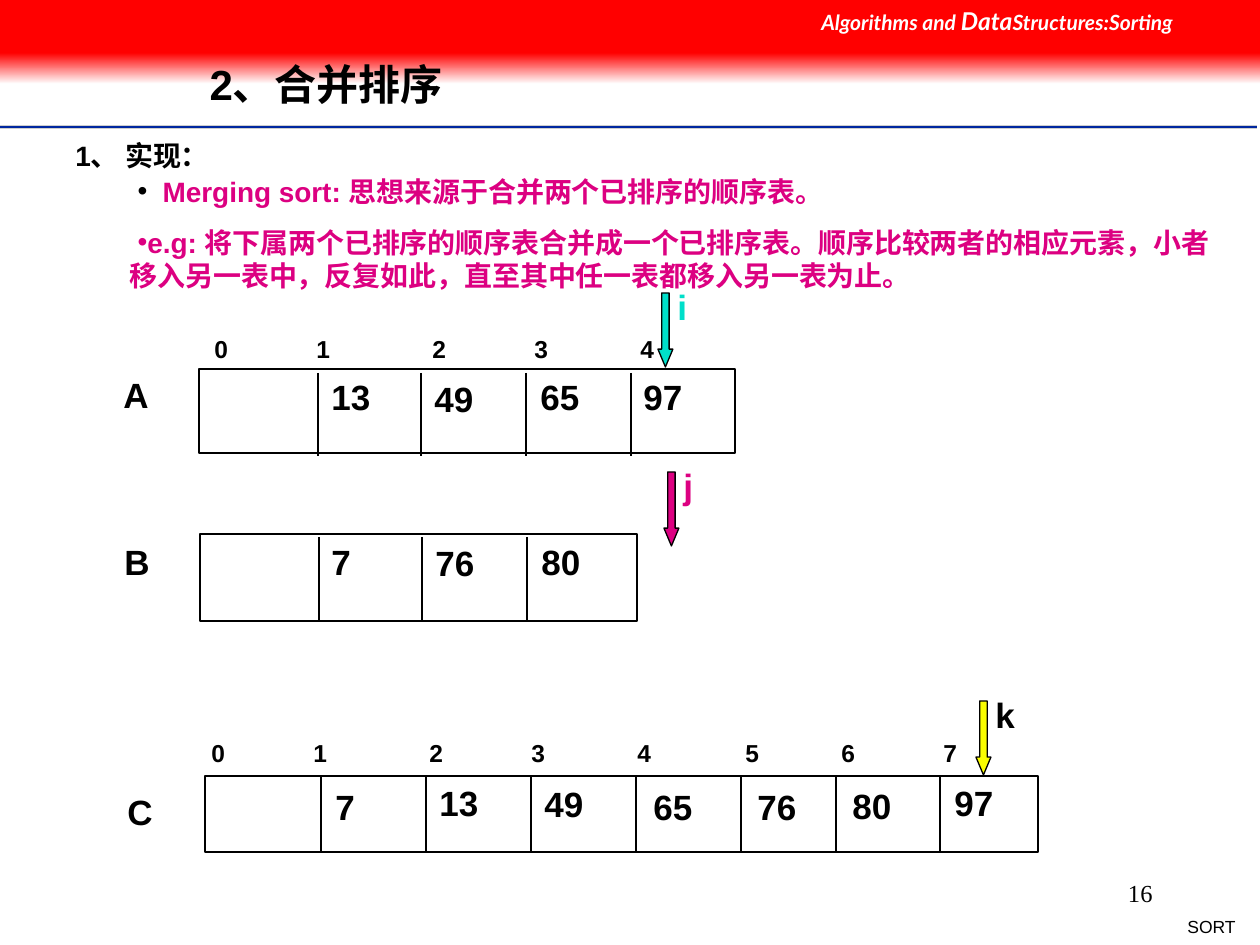
from lxml.etree import SubElement
from pptx import Presentation
from pptx.dml.color import RGBColor
from pptx.enum.shapes import MSO_CONNECTOR, MSO_SHAPE
from pptx.enum.text import MSO_ANCHOR as ANCHOR, MSO_AUTO_SIZE as AUTO, PP_ALIGN as ALIGN
from pptx.oxml.ns import qn
from pptx.util import Emu, Pt

PX_PER_INCH = 126
COLORS = {
    "black": "000000", "white": "FFFFFF", "red": "FF0000", "blue": "00279F",
    "gray": "CECECE", "pink": "DC0081", "teal": "00DFCA", "yellow": "FAFD00",
}
INDEX_STOPS = [102, 218, 320, 426, 534, 630, 732]


def px(n):
    return Emu(round(n * 914400 / PX_PER_INCH))


def rgb(name):
    return RGBColor.from_string(COLORS[name])


def add_run(p, text, size, color="black", bold=True, italic=False, font="Arial"):
    r = p.add_run()
    r.text = text
    f = r.font
    f.name, f.size, f.bold, f.italic = font, Pt(size), bold, italic
    f.color.rgb = rgb(color)


def add_text(shapes, box, align=ALIGN.LEFT, wrap=True):
    """Add an empty text box and return its first paragraph."""
    tf = shapes.add_textbox(*map(px, box)).text_frame
    tf.word_wrap = wrap
    p = tf.paragraphs[0]
    p.alignment = align
    return p


def add_label(shapes, x, y, text, color="black"):
    add_run(add_text(shapes, (x, y, 84, 55)), text, 20, color)


def add_box(shapes, kind, box, fill, line=None):
    sp = shapes.add_shape(kind, *map(px, box))
    sp.shadow.inherit = False
    if fill:
        sp.fill.solid()
        sp.fill.fore_color.rgb = rgb(fill)
    if line:
        sp.line.color.rgb = rgb(line)
        sp.line.width = Pt(0.75)
    else:
        sp.line.fill.background()
    return sp


def add_line(shapes, x1, y1, x2, y2, color="black", width=0.75):
    line = shapes.add_connector(MSO_CONNECTOR.STRAIGHT, *map(px, (x1, y1, x2, y2)))
    line.line.color.rgb = rgb(color)
    line.line.width = Pt(width)
    SubElement(line._element.spPr, qn("a:effectLst"))


def add_header(shapes):
    band = add_box(shapes, MSO_SHAPE.RECTANGLE, (0, 53, 1260, 31), None)
    band.fill.gradient()
    band.fill.gradient_angle = 270
    for stop, color, position in zip(band.fill.gradient_stops, ("red", "white"), (0, 1)):
        stop.color.rgb = rgb(color)
        stop.position = position
    add_box(shapes, MSO_SHAPE.RECTANGLE, (0, 0, 1260, 53), "red")
    for y, color, width in ((127, "gray", 2), (127, "blue", 1), (130, "white", 1)):
        add_line(shapes, 0, y, 1257, y, color, width)
    p = add_text(shapes, (809, 0, 451, 43))
    for text, size in (("Algorithms and ", 12), ("Data", 14), ("Structures:Sorting", 12)):
        add_run(p, text, size, "white", italic=True, font="Lato")


def add_footer(shapes):
    p = add_text(shapes, (1174, 910, 74, 34), ALIGN.RIGHT, wrap=False)
    add_run(p, "SORT", 10, bold=False)
    p = add_text(shapes, (903, 861, 262, 63), ALIGN.RIGHT, wrap=False)
    add_run(p, "16", 14, bold=False, font="Times New Roman")
    p._parent.vertical_anchor = ANCHOR.MIDDLE


def place(slide, holder, box):
    """Move a placeholder in front of the header and clear its autofit."""
    slide.shapes._spTree.append(holder._element)
    holder.left, holder.top, holder.width, holder.height = map(px, box)
    tf = holder.text_frame
    tf.auto_size = AUTO.NONE
    tf.word_wrap = True
    return tf


def set_bullet(p, margin, indent, color):
    pPr = p._p.get_or_add_pPr()
    pPr.set("marL", str(px(margin)))
    pPr.set("indent", str(px(indent)))
    SubElement(SubElement(pPr, qn("a:buClr")), qn("a:srgbClr"), val=COLORS[color])
    SubElement(pPr, qn("a:buFont"), typeface="Arial")
    SubElement(pPr, qn("a:buChar"), char="•")


def add_title(slide):
    tf = place(slide, slide.shapes.title, (197, 40, 951, 93))
    tf.vertical_anchor = ANCHOR.MIDDLE
    p = tf.paragraphs[0]
    p.alignment = ALIGN.LEFT
    p.line_spacing = 0.9
    add_run(p, "2、合并排序", 24)


def add_points(slide):
    add_run(add_text(slide.shapes, (63, 132, 284, 47)), "1、 实现：", 16)
    tf = place(slide, slide.placeholders[1], (0, 168, 1229, 131))
    points = [
        ("Merging sort: 思想来源于合并两个已排序的顺序表。", 150, -25, "black", 0),
        ("e.g: 将下属两个已排序的顺序表合并成一个已排序表。顺序比较两者的相应元素，"
         "小者移入另一表中，反复如此，直至其中任一表都移入另一表为止。", 117, 8, "pink", 10),
    ]
    for i, (text, margin, indent, bullet, before) in enumerate(points):
        p = tf.add_paragraph() if i else tf.paragraphs[0]
        p.level = 3
        p.space_before = Pt(before)
        set_bullet(p, margin, indent, bullet)
        add_run(p, text, 16, "pink")


def add_indices(shapes, box, count):
    """Number the cells of an array, set apart by tab stops."""
    p = add_text(shapes, box)
    tabs = SubElement(p._p.get_or_add_pPr(), qn("a:tabLst"))
    for stop in INDEX_STOPS[:count - 1]:
        SubElement(tabs, qn("a:tab"), pos=str(px(stop)), algn="l")
    add_run(p, "\t".join(map(str, range(count))), 14)


def add_array(shapes, name, name_at, box, rule, cells):
    """Draw a named array; a cell is its divider x, value and text offset."""
    add_box(shapes, MSO_SHAPE.RECTANGLE, box, "white", "black")
    add_label(shapes, *name_at, name)
    for x, value, dx, dy in cells:
        add_line(shapes, x, rule[0], x, rule[1])
        add_label(shapes, x + dx, box[1] + dy, str(value))


def add_pointer(shapes, x, y, name, fill, color):
    group = shapes.add_group_shape().shapes
    arrow = add_box(group, MSO_SHAPE.DOWN_ARROW, (x, y, 15, 74), fill, "black")
    arrow.adjustments[0], arrow.adjustments[1] = 0.5, 1.19
    add_label(group, x + 7, y - 14, name, color)


def main():
    prs = Presentation()
    prs.slide_width, prs.slide_height = px(1260), px(945)
    slide = prs.slides.add_slide(prs.slide_layouts[1])
    shapes = slide.shapes

    # Header, footer and text
    add_header(shapes)
    add_footer(shapes)
    add_title(slide)
    add_points(slide)

    # Source arrays
    add_indices(shapes, (202, 328, 536, 43), 5)
    add_array(shapes, "A", (111, 367), (199, 369, 536, 84), (373, 456),
              [(318, 13, 1, 0), (421, 49, 1, 2), (526, 65, 2, 0), (631, 97, 0, 0)])
    add_array(shapes, "B", (112, 534), (200, 534, 437, 87), (537, 621),
              [(319, 7, 0, 0), (422, 76, 1, 1), (527, 80, 2, 0)])

    # Merged array
    add_array(shapes, "C", (115, 784), (205, 776, 833, 76), (776, 853),
              [(321, 7, 2, 3), (426, 13, 1, -1), (531, 49, 1, 0), (636, 65, 5, 3),
               (741, 76, 4, 3), (836, 80, 4, 2), (940, 97, 2, -1)])
    add_indices(shapes, (199, 732, 839, 43), 8)

    # Pointers
    add_pointer(shapes, 658, 293, "i", "teal", "teal")
    add_pointer(shapes, 664, 472, "j", "pink", "pink")
    add_pointer(shapes, 976, 701, "k", "yellow", "black")

    prs.save("out.pptx")


if __name__ == "__main__":
    main()
